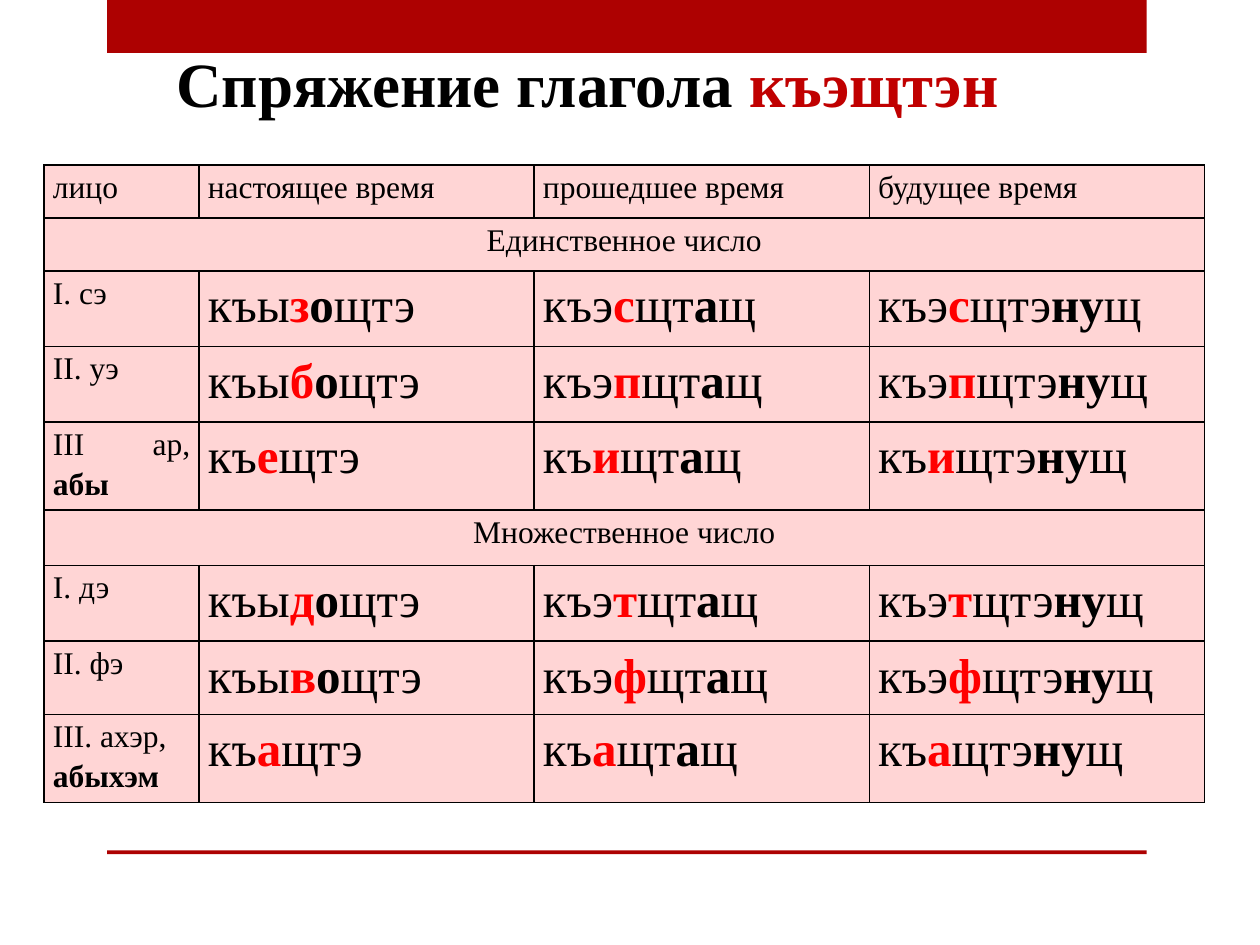
"""Build the slide with the conjugation table of the verb къэщтэн."""
from lxml import etree
from pptx import Presentation, util as u
from pptx.dml.color import RGBColor
from pptx.enum import shapes, text
from pptx.oxml.ns import qn


def rgb(value):
    return RGBColor.from_string(value)


def add_runs(p, marked, size, accent="FF0000", bold=False):
    """Add runs split by |, where * means bold accent and + means bold."""
    for part in marked.split("|"):
        r = p.add_run()
        r.text = part.lstrip("*+")
        r.font.name = "Times New Roman"
        r.font.size = u.Pt(size)
        r.font.bold = bold or part[0] in "*+"
        r.font.color.rgb = rgb(accent if part[0] == "*" else "000000")


prs = Presentation()
prs.slide_width, prs.slide_height = u.Inches(10), u.Inches(7.5)
s = prs.slides.add_slide(prs.slide_layouts[5])

for top, height in [(0, 0.42), (6.75, 0.03)]:
    bar = s.shapes.add_shape(shapes.MSO_SHAPE.RECTANGLE, u.Inches(0.85), u.Inches(top),
                             u.Inches(8.25), u.Inches(height))
    bar.shadow.inherit = False
    bar.fill.solid()
    bar.fill.fore_color.rgb = rgb("AD0101")
    bar.line.fill.background()

title = s.shapes.title
title.left, title.top = u.Inches(1.3), u.Inches(0)
title.width, title.height = u.Inches(7.42), u.Inches(1)
tf = title.text_frame
tf.word_wrap = True
tf.vertical_anchor = text.MSO_ANCHOR.BOTTOM
tf.paragraphs[0].alignment = text.PP_ALIGN.LEFT
add_runs(tf.paragraphs[0], "Спряжение глагола |*къэщтэн", 36, "C00000", True)

singular = [("I. сэ", "з", "с"), ("II. уэ", "б", "п"), ("III ар, |+абы", "е", "и")]
plural = [("I. дэ", "д", "т"), ("II. фэ", "в", "ф"), ("III. ахэр,\n+абыхэм", "а", "а")]
rows = [["лицо", "настоящее время", "прошедшее время", "будущее время"]]
for number, forms in [("Единственное число", singular), ("Множественное число", plural)]:
    rows.append([number])
    for person, present, other in forms:
        third = person.startswith("III")
        now = f"къ|*{present}|щтэ" if third else f"къы|*{present}|+о|щтэ"
        stem = f"къ|*{other}" if third else f"къэ|*{other}"
        rows.append([person, now, f"{stem}|щт|+а|щ", f"{stem}|щтэ|+ну|щ"])

widths = [1.23, 2.66, 2.66, 2.66]
heights = [0.42, 0.42, 0.6, 0.6, 0.7, 0.44, 0.6, 0.58, 0.7]
table = s.shapes.add_table(len(rows), len(widths), u.Inches(0.35), u.Inches(1.31),
                           u.Inches(sum(widths)), u.Inches(sum(heights))).table
table.first_row = table.horz_banding = False
for column, width in zip(table.columns, widths):
    column.width = u.Inches(width)

for i, (values, height) in enumerate(zip(rows, heights)):
    table.rows[i].height = u.Inches(height)
    heading = len(values) == 1
    if heading:
        table.cell(i, 0).merge(table.cell(i, 3))
    for j in range(len(widths)):
        cell = table.cell(i, j)
        cell.margin_left = cell.margin_right = u.Inches(0.07)
        cell.margin_top = cell.margin_bottom = u.Inches(0)
        tcPr = cell._tc.get_or_add_tcPr()
        for side in ("a:lnL", "a:lnR", "a:lnT", "a:lnB"):
            line = etree.SubElement(tcPr, qn(side), w=str(u.Pt(1)))
            fill = etree.SubElement(line, qn("a:solidFill"))
            etree.SubElement(fill, qn("a:srgbClr"), val="000000")
        cell.fill.solid()
        cell.fill.fore_color.rgb = rgb("FFD5D5")
        if j >= len(values):
            continue
        for k, marked in enumerate(values[j].split("\n")):
            tf = cell.text_frame
            p = tf.add_paragraph() if k else tf.paragraphs[0]
            p.alignment = text.PP_ALIGN.CENTER if heading else text.PP_ALIGN.JUSTIFY
            p.line_spacing = 1.15
            if marked == "I. дэ":
                pPr = p._p.get_or_add_pPr()
                pPr.set("marL", str(u.Inches(0.25)))
                pPr.set("indent", str(u.Inches(-0.25)))
            add_runs(p, marked, 28 if i and j else 18)

prs.save("out.pptx")
